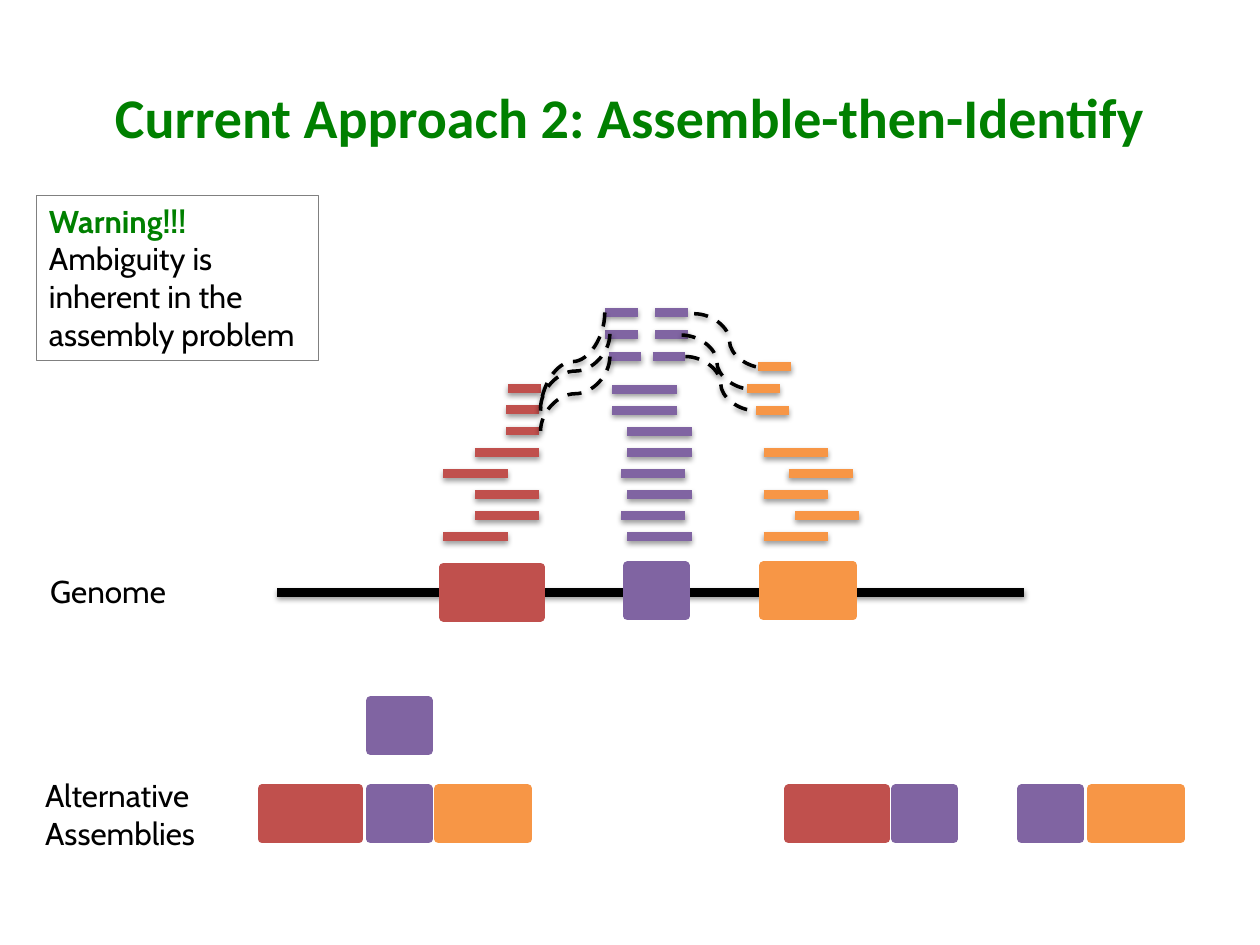
from dataclasses import dataclass
from typing import Any

from lxml.etree import SubElement
from pptx import Presentation
from pptx.dml.color import RGBColor
from pptx.enum.dml import MSO_LINE
from pptx.enum.shapes import MSO_CONNECTOR, MSO_SHAPE
from pptx.enum.text import MSO_ANCHOR, MSO_AUTO_SIZE, PP_ALIGN
from pptx.oxml.ns import qn
from pptx.util import Inches, Pt

RED = RGBColor(0xC0, 0x50, 0x4D)
PURPLE = RGBColor(0x80, 0x64, 0xA2)
ORANGE = RGBColor(0xF7, 0x96, 0x46)
GREEN = RGBColor(0x00, 0x80, 0x00)
BLACK = RGBColor(0x00, 0x00, 0x00)
GRAY = RGBColor(0x80, 0x80, 0x80)

WIDTH, HEIGHT = Inches(10), Inches(7.5)
COLUMN, ROW = WIDTH / 100, HEIGHT / 75
LONG, SHORT = 5.1, 2.6
BLOCK_COLUMNS = {RED: 7.7, PURPLE: 4.6, ORANGE: 7.1}
BLOCK_ROWS = 4
GENOME_ROW = 47
READ_BASE, READ_PITCH = 42.6, 1.67
SPLIT_BASE, SPLIT_PITCH = 28.3, 1.75


@dataclass(frozen=True)
class Block:
    color: RGBColor
    column: float
    row: float


@dataclass(frozen=True)
class Stack:
    color: RGBColor
    columns: tuple[float, ...]
    length: float
    base: float = READ_BASE
    pitch: float = READ_PITCH


@dataclass(frozen=True)
class Link:
    start: tuple[float, float]
    end: tuple[float, float]
    upright: bool = False


@dataclass(frozen=True)
class Span:
    text: str
    color: RGBColor = BLACK
    bold: bool = False


GENOME = [Block(RED, 35.2, 45), Block(PURPLE, 49.8, 44.9), Block(ORANGE, 60.6, 44.9)]
ASSEMBLIES = [
    Block(PURPLE, 29.4, 55.6),
    Block(RED, 20.8, 62.6), Block(PURPLE, 29.4, 62.6), Block(ORANGE, 34.8, 62.6),
    Block(RED, 62.6, 62.6), Block(PURPLE, 71.1, 62.6),
    Block(PURPLE, 81.1, 62.6), Block(ORANGE, 86.6, 62.6),
]
GENOME_GAPS = [(22, 35.2), (42.9, 49.8), (54.4, 60.6), (67.7, 81.3)]
STACKS = [
    Stack(RED, (35.2, 37.7, 37.7, 35.2, 37.7), LONG),
    Stack(PURPLE, (49.8, 49.3, 49.8, 49.3, 49.8, 49.8, 48.6, 48.6), LONG),
    Stack(ORANGE, (60.6, 63.1, 60.6, 62.6, 60.6), LONG),
    Stack(RED, (40.2, 40.2, 40.3), SHORT, 34.2),
    Stack(PURPLE, (48.3, 48, 48), SHORT, SPLIT_BASE, SPLIT_PITCH),
    Stack(PURPLE, (51.8, 52, 52), SHORT, SPLIT_BASE, SPLIT_PITCH),
    Stack(ORANGE, (60, 59.3, 60.2), SHORT, 32.6, SPLIT_PITCH),
]
LINKS = [
    Link((54.4, 28.3), (60, 32.6)),
    Link((54.1, 26.6), (59.7, 30.9)),
    Link((55.1, 24.9), (60.7, 29.2)),
    Link((48, 24.8), (42.9, 32.6), True),
    Link((48.4, 28.3), (42.9, 34.2), True),
    Link((48.4, 26.5), (42.9, 32.4), True),
]


def apply(target: Any, values: dict[str, Any]) -> None:
    """Set every attribute named in the format values."""
    for name, value in values.items():
        setattr(target, name, value)


def add_shadow(connector: Any) -> None:
    """Give a connector a soft shadow straight below it."""
    effects = SubElement(connector._element.spPr, qn("a:effectLst"))
    shadow = SubElement(effects, qn("a:outerShdw"), blurRad=str(Pt(3.1)),
                        dist=str(Pt(1.6)), dir="5400000", rotWithShape="0")
    color = SubElement(shadow, qn("a:srgbClr"), val=str(BLACK))
    SubElement(color, qn("a:alpha"), val="38000")


def add_line(page: Any, start: tuple[float, float], end: tuple[float, float],
             color: RGBColor, kind: Any = MSO_CONNECTOR.STRAIGHT, width: float = 5) -> Any:
    """Draw a shadowed line between two grid points."""
    ends = [round(value * unit) for point in (start, end)
            for value, unit in zip(point, (COLUMN, ROW))]
    line = page.shapes.add_connector(kind, *ends)
    line.line.color.rgb = color
    line.line.width = Pt(width)
    add_shadow(line)
    return line


def add_stack(page: Any, stack: Stack) -> None:
    """Pile up reads from the base row upwards."""
    for level, column in enumerate(stack.columns):
        row = stack.base - level * stack.pitch
        add_line(page, (column, row), (column + stack.length, row), stack.color)


def add_link(page: Any, link: Link) -> None:
    """Draw a dashed curve joining the two halves of a split read."""
    start, end = link.start, link.end
    if link.upright:
        middle = [(a + b) / 2 for a, b in zip(start, end)]
        half = (abs(end[1] - start[1]) / 2, abs(end[0] - start[0]) / 2)
        start = (middle[0] - half[0], middle[1] - half[1])
        end = (middle[0] + half[0], middle[1] + half[1])
    curve = add_line(page, start, end, BLACK, MSO_CONNECTOR.CURVE, 2)
    curve.line.dash_style = MSO_LINE.DASH
    if link.upright:
        curve._element.spPr.xfrm.set("rot", "5400000")


def add_block(page: Any, block: Block) -> None:
    """Draw a genome block in its colour's own width."""
    shape = page.shapes.add_shape(
        MSO_SHAPE.RECTANGLE, round(block.column * COLUMN), round(block.row * ROW),
        round(BLOCK_COLUMNS[block.color] * COLUMN), round(BLOCK_ROWS * ROW))
    shape.shadow.inherit = False
    shape.fill.solid()
    shape.fill.fore_color.rgb = block.color
    shape.line.color.rgb = block.color
    shape.line.width = Pt(5)


def add_text(page: Any, area: tuple[float, float, float, float], spans: list[Span],
             font: dict[str, Any], frame: dict[str, Any], align: Any = PP_ALIGN.LEFT) -> Any:
    """Write one paragraph per span inside a grid area."""
    lengths = [round(value * unit) for value, unit in zip(area, (COLUMN, ROW) * 2)]
    box = page.shapes.add_textbox(*lengths)
    apply(box.text_frame, frame)
    for index, span in enumerate(spans):
        para = box.text_frame.add_paragraph() if index else box.text_frame.paragraphs[0]
        para.alignment = align
        run = para.add_run()
        run.text = span.text
        apply(run.font, {**font, "bold": span.bold})
        run.font.color.rgb = span.color
    return box


def main() -> None:
    """Build the slide and save the deck."""
    deck = Presentation()
    apply(deck, {"slide_width": WIDTH, "slide_height": HEIGHT})
    page = deck.slides.add_slide(deck.slide_layouts[6])
    label_font = {"name": "Cabin", "size": Pt(18)}
    label_frame = {"word_wrap": False, "auto_size": MSO_AUTO_SIZE.SHAPE_TO_FIT_TEXT}

    add_text(page, (3, 44.9, 11.3, 4), [Span("Genome")], label_font, label_frame)
    for first, last in GENOME_GAPS:
        add_line(page, (first, GENOME_ROW), (last, GENOME_ROW), BLACK)
    for block in GENOME + ASSEMBLIES:
        add_block(page, block)
    for stack in STACKS:
        add_stack(page, stack)
    for link in LINKS:
        add_link(page, link)
    add_text(page, (2.6, 61.1, 14.7, 7.1), [Span("Alternative"), Span("Assemblies")],
             label_font, label_frame)
    add_text(page, (5, 3, 90, 12.5),
             [Span("Current Approach 2: Assemble-then-Identify", GREEN, True)],
             {"name": "Calibri", "size": Pt(32)},
             {"word_wrap": True, "vertical_anchor": MSO_ANCHOR.MIDDLE}, PP_ALIGN.CENTER)
    warning = add_text(page, (2.9, 15.5, 22.4, 13.1),
                       [Span("Warning!!!", GREEN, True), Span("Ambiguity is"),
                        Span("inherent in the"), Span("assembly problem")],
                       label_font, label_frame)
    warning.line.color.rgb = GRAY
    warning.line.width = Pt(0.75)
    deck.save("out.pptx")


if __name__ == "__main__":
    main()
